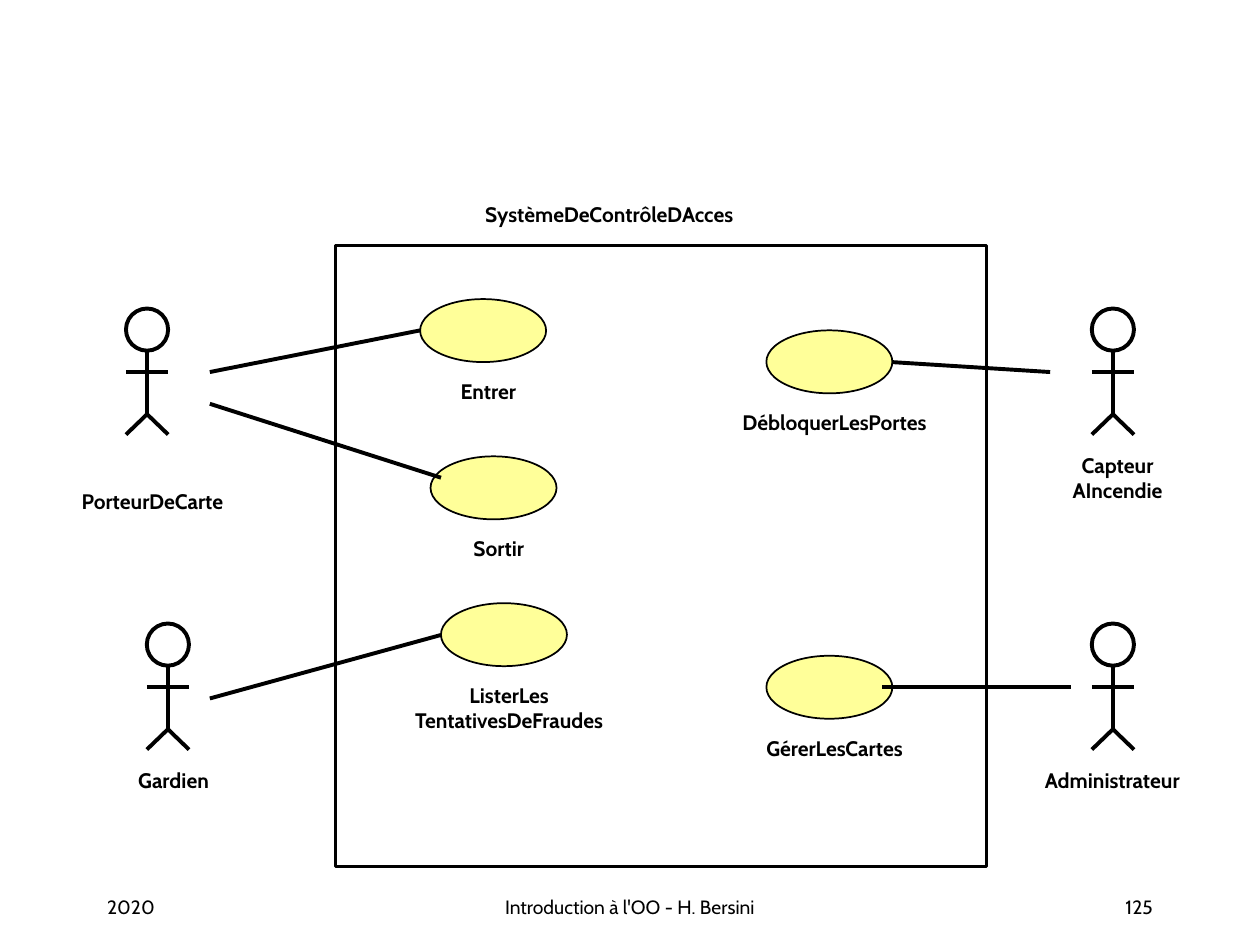
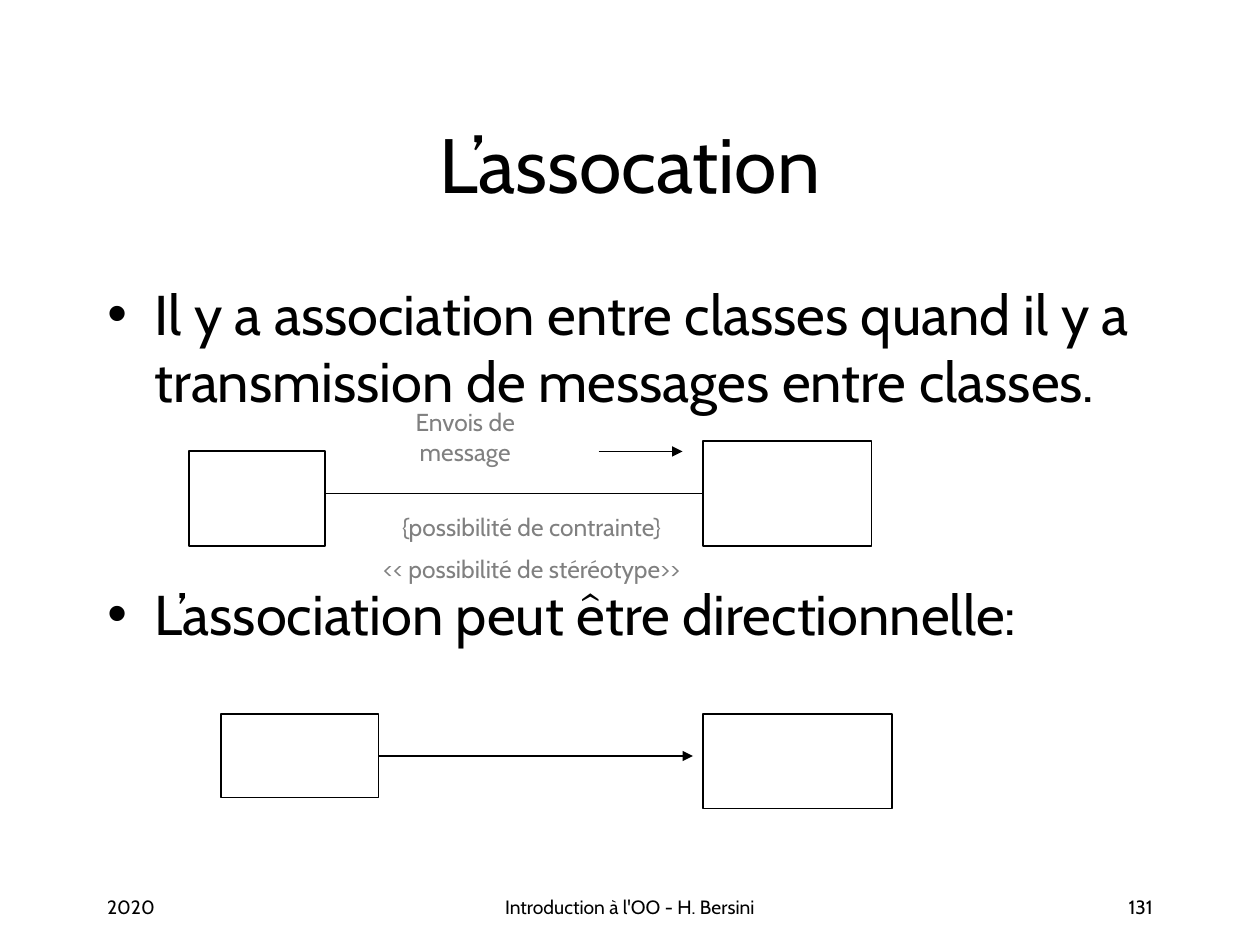
from lxml import etree
from pptx import Presentation
from pptx import util as u
from pptx.dml.color import RGBColor
from pptx.enum import shapes, text
from pptx.oxml.ns import qn

FONT = "Cabin"
COLORS = {"ink": "000000", "note": "808080", "use_case": "FFFF99"}
LEFT, CENTER, RIGHT = text.PP_ALIGN.LEFT, text.PP_ALIGN.CENTER, text.PP_ALIGN.RIGHT
RECTANGLE, ELLIPSE = shapes.MSO_SHAPE.RECTANGLE, shapes.MSO_SHAPE.OVAL
TITLE_AND_CONTENT, BLANK = 1, 6
HEAD = 0.85  # diameter of an actor's head, cm
CASE_WIDTH, CASE_HEIGHT = 2.54, 1.27


def rgb(color):
    return RGBColor.from_string(COLORS[color])


def cm(*lengths):
    return [u.Cm(length) for length in lengths]


def format_text(frame, size, color="ink", bold=False, align=None):
    for para in frame.paragraphs:
        if align is not None:
            para.alignment = align
        for span in para.runs:
            span.font.name = FONT
            span.font.size = u.Pt(size)
            span.font.bold = bold
            span.font.color.rgb = rgb(color)


def add_text(canvas, words, place, size, **style):
    box = canvas.add_textbox(*cm(*place))
    frame = box.text_frame
    frame.word_wrap = True
    frame.text = words
    format_text(frame, size, **style)
    return frame


def add_label(canvas, words, left, top, width):
    height = 1.27 if "\v" in words else 0.76
    add_text(canvas, words, (left, top, width, height), 12, bold=True, align=CENTER)


def add_note(canvas, words, place):
    """Grey annotation that sits on the bottom of its box."""
    frame = add_text(canvas, words, place, 14, color="note", align=CENTER)
    frame.vertical_anchor = text.MSO_ANCHOR.BOTTOM
    for para in frame.paragraphs:
        para.space_before = u.Pt(7)


def add_outline(canvas, kind, place, weight, fill=None):
    shape = canvas.add_shape(kind, *cm(*place))
    shape.shadow.inherit = False
    if fill:
        shape.fill.solid()
        shape.fill.fore_color.rgb = rgb(fill)
    else:
        shape.fill.background()
    shape.line.color.rgb = rgb("ink")
    shape.line.width = u.Pt(weight)


def add_line(canvas, start, end, weight=2.25, arrow=False):
    line = canvas.add_connector(shapes.MSO_CONNECTOR.STRAIGHT, *cm(*start, *end))
    line.line.color.rgb = rgb("ink")
    line.line.width = u.Pt(weight)
    properties = line._element.spPr
    if arrow:
        etree.SubElement(properties.find(qn("a:ln")), qn("a:tailEnd"), type="triangle")
    etree.SubElement(properties, qn("a:effectLst"))


def add_actor(page, left, top):
    """Stick figure whose head has its corner at left, top."""
    figure = page.shapes.add_group_shape().shapes
    right, middle = left + HEAD, left + HEAD / 2
    hips, feet, arms = top + 2.13, top + 2.54, top + 1.27
    add_outline(figure, ELLIPSE, (left, top, HEAD, HEAD), 2.25)
    add_line(figure, (middle, top + HEAD), (middle, hips))
    for foot in (right, left):
        add_line(figure, (middle, hips), (foot, feet))
    add_line(figure, (left, arms), (right, arms))


def add_use_case(page, name, left, top):
    group = page.shapes.add_group_shape().shapes
    add_outline(group, ELLIPSE, (left, top, CASE_WIDTH, CASE_HEIGHT), 1, "use_case")
    add_label(group, name, left - 1.06, top + 1.48, 4.87)


def add_footer(page, number):
    for words, left, width, align in (
        ("2020", 1.91, 5.29, LEFT),
        ("Introduction à l'OO - H. Bersini", 8.68, 8.04, CENTER),
        (number, 18.2, 5.29, RIGHT),
    ):
        add_text(page.shapes, words, (left, 17.93, width, 0.71), 11, align=align)


def fill_placeholder(box, words, place, size, align):
    box.left, box.top, box.width, box.height = cm(*place)
    frame = box.text_frame
    frame.auto_size = text.MSO_AUTO_SIZE.NONE
    frame.text = words
    format_text(frame, size, align=align)
    return frame


def add_use_case_page(deck):
    page = deck.slides.add_slide(deck.slide_layouts[BLANK])
    add_label(page.shapes, "SystèmeDeContrôleDAcces", 8.79, 3.94, 6.99)
    add_outline(page.shapes, RECTANGLE, (6.77, 4.95, 13.12, 12.52), 1.5)

    for left, top in ((2.54, 6.22), (2.96, 12.57), (22.01, 6.22), (22.01, 12.57)):
        add_actor(page, left, top)
    for name, left, top, width in (
        ("PorteurDeCarte", 1.07, 9.73, 4.01),
        ("Gardien", 1.91, 15.34, 3.18),
        ("Capteur\vAIncendie", 21.16, 8.99, 2.74),
        ("Administrateur", 20.52, 15.34, 3.81),
    ):
        add_label(page.shapes, name, left, top, width)

    for name, left, top in (
        ("Entrer", 8.47, 6.03),
        ("Sortir", 8.68, 9.2),
        ("ListerLes\vTentativesDeFraudes", 8.89, 12.16),
        ("DébloquerLesPortes", 15.45, 6.66),
        ("GérerLesCartes", 15.45, 13.22),
    ):
        add_use_case(page, name, left, top)

    for start, end in (
        ((4.23, 7.5), (8.47, 6.66)),
        ((4.23, 8.14), (8.89, 9.63)),
        ((4.23, 14.08), (8.89, 12.8)),
        ((17.99, 7.3), (21.17, 7.5)),
        ((17.78, 13.84), (21.59, 13.84)),
    ):
        add_line(page.shapes, start, end)
    add_footer(page, "125")


def add_association_page(deck):
    page = deck.slides.add_slide(deck.slide_layouts[TITLE_AND_CONTENT])
    title, body = page.placeholders
    fill_placeholder(title, "L’assocation", (1.91, 1.69, 21.59, 3.18), 44, CENTER)
    bullets = (
        "Il y a association entre classes quand il y a "
        "transmission de messages entre classes.\n"
        "L’association peut être directionnelle:"
    )
    frame = fill_placeholder(body, bullets, (1.91, 5.5, 21.59, 11.43), 32, LEFT)
    frame.paragraphs[1].space_before = u.Pt(95)  # room for the first diagram

    for class_box in (
        (3.81, 9.1, 2.75, 1.91),
        (14.18, 8.89, 3.39, 2.12),
        (4.45, 14.39, 3.18, 1.69),
        (14.18, 14.39, 3.81, 1.91),
    ):
        add_outline(page.shapes, RECTANGLE, class_box, 1)
    add_line(page.shapes, (6.56, 9.95), (14.18, 9.95), 1)
    add_line(page.shapes, (12.07, 9.1), (13.76, 9.1), 0.75, arrow=True)
    add_line(page.shapes, (7.62, 15.24), (13.97, 15.24), 0.75, arrow=True)

    add_note(page.shapes, "Envois de message", (7.26, 7.8, 4.24, 1.72))
    constraints = "{possibilité de contrainte}\n<< possibilité de stéréotype>>"
    add_note(page.shapes, constraints, (7.34, 10.13, 6.76, 1.76))
    add_footer(page, "131")


def main():
    deck = Presentation()
    deck.slide_width, deck.slide_height = cm(25.4, 19.05)
    add_use_case_page(deck)
    add_association_page(deck)
    deck.save("out.pptx")


if __name__ == "__main__":
    main()
